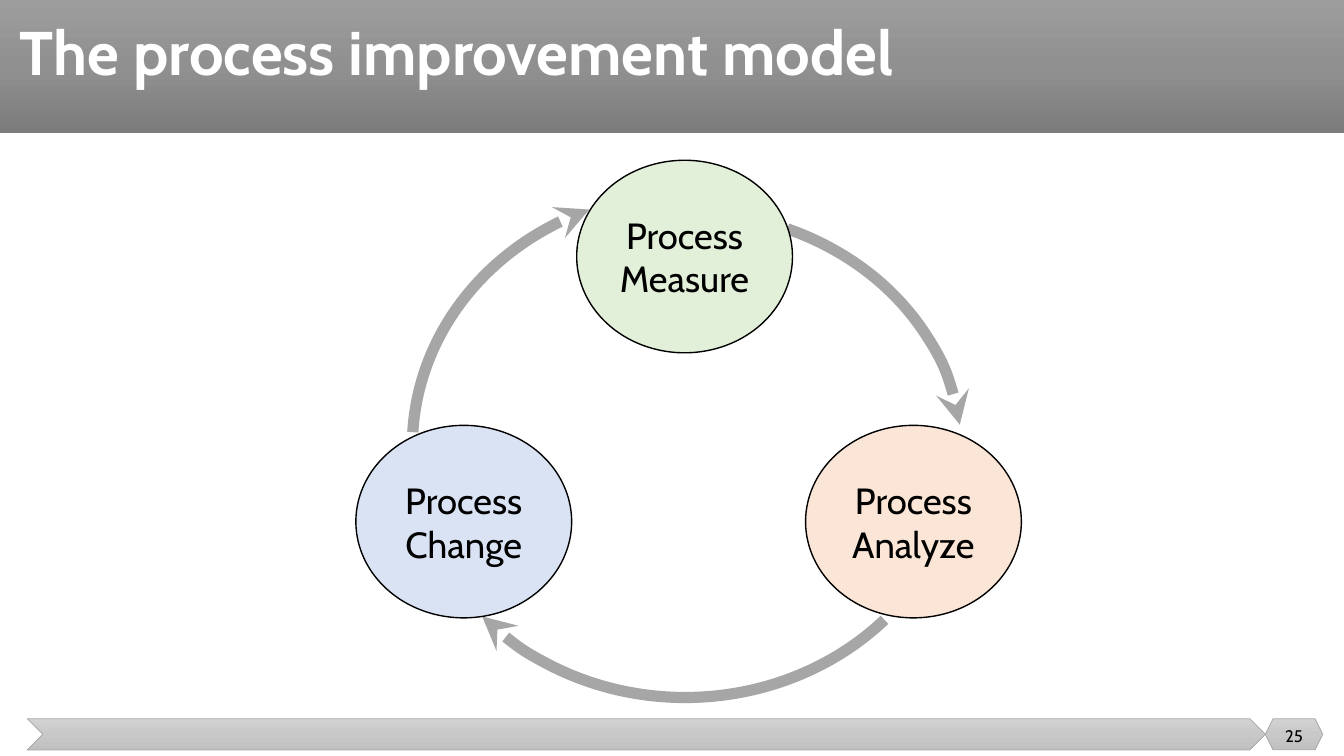
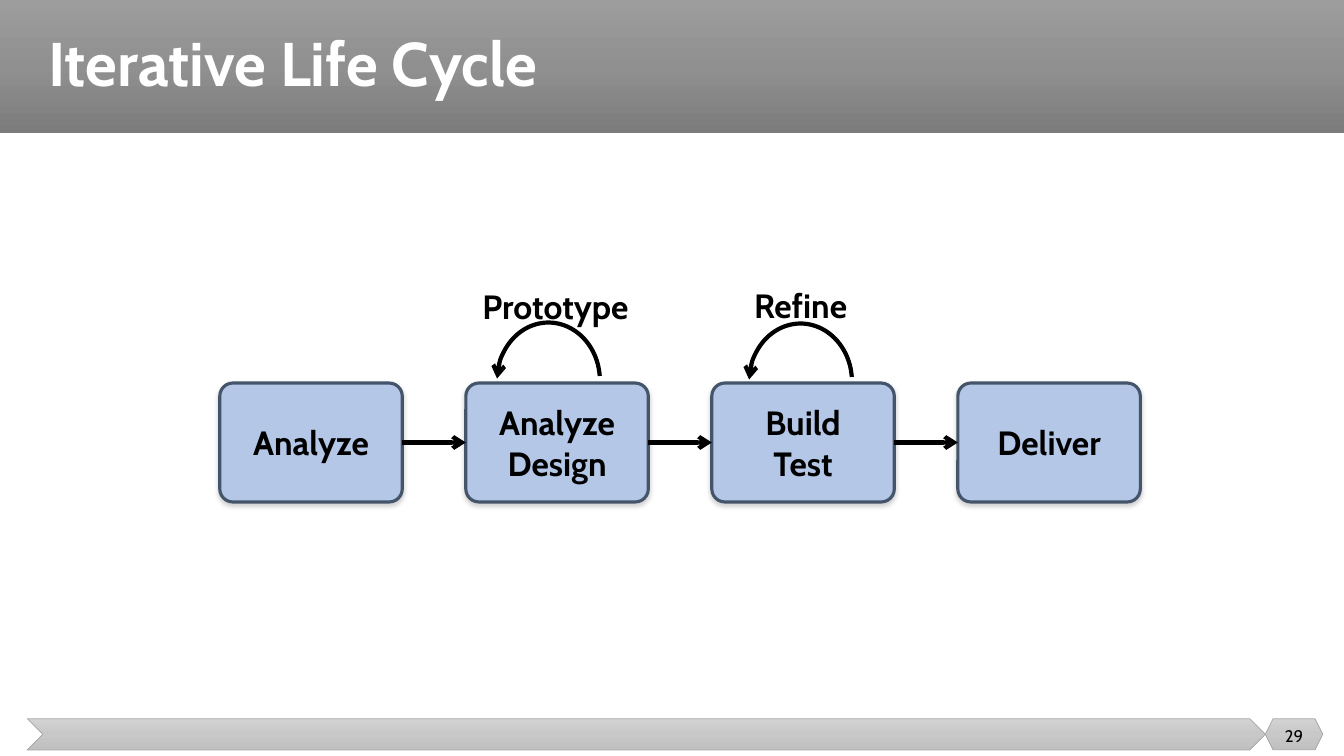
from itertools import pairwise

from lxml.etree import SubElement
from pptx import Presentation
from pptx.dml.color import RGBColor
from pptx.enum.shapes import MSO_CONNECTOR, MSO_SHAPE
from pptx.enum.text import MSO_ANCHOR, PP_ALIGN
from pptx.oxml.ns import qn
from pptx.util import Inches, Pt

FONT = "Cabin"
COLORS = {
    "black": "000000",
    "white": "FFFFFF",
    "footer_edge": "A5A5A5",
    "cycle": "A6A6A6",
    "measure": "E2F0D9",
    "change": "DAE3F3",
    "analyze": "FBE5D6",
    "stage": "B4C7E7",
    "stage_edge": "44546A",
    "shadow": "808080",
}
HEADER_SHADES = ("9D9D9D", "909090", "7C7C7C")
FOOTER_SHADES = ("D2D2D2", "C8C8C8", "C0C0C0")


def rgb(name):
    """Return the palette colour with this name."""
    return RGBColor.from_string(COLORS[name])


class Deck:
    """Hold the shared style, the presentation and the current slide."""

    def __init__(self):
        """Start an empty widescreen presentation."""
        self.prs = Presentation()
        self.prs.slide_width = Inches(13.33)
        self.prs.slide_height = Inches(7.5)
        self.slide = None

    def new_slide(self, title, number, title_box):
        """Add a slide with its bands, title and page number."""
        self.slide = self.prs.slides.add_slide(self.prs.slide_layouts[6])
        self.band(MSO_SHAPE.RECTANGLE, (0, 0, 13.33, 1.32), HEADER_SHADES)
        self.band(MSO_SHAPE.CHEVRON, (0.27, 7.13, 12.28, 0.31), FOOTER_SHADES, "footer_edge")
        self.band(MSO_SHAPE.HEXAGON, (12.55, 7.13, 0.57, 0.31), FOOTER_SHADES, "footer_edge")
        heading = self.text(title, title_box, 44, "white", True, PP_ALIGN.LEFT)
        heading.text_frame.paragraphs[0].line_spacing = 0.9
        self.text(number, (12.55, 7.1, 0.57, 0.4), 12)

    def shape(self, kind, box, edge=None, width=1):
        """Add a shadowless preset shape with an optional outline."""
        shape = self.slide.shapes.add_shape(kind, *map(Inches, box))
        shape.shadow.inherit = False
        if edge:
            shape.line.color.rgb = rgb(edge)
            shape.line.width = Pt(width)
        else:
            shape.line.fill.background()
        return shape

    def band(self, kind, box, shades, edge=None):
        """Add a shape shaded from top to bottom."""
        band = self.shape(kind, box, edge, 0.5)
        gradient = band._element.spPr.makeelement(qn("a:gradFill"), rotWithShape="1")
        stops = SubElement(gradient, qn("a:gsLst"))
        for index, shade in enumerate(shades):
            stop = SubElement(stops, qn("a:gs"), pos=str(index * 50000))
            SubElement(stop, qn("a:srgbClr"), val=shade)
        SubElement(gradient, qn("a:lin"), ang="5400000", scaled="0")
        band._element.spPr.find(qn("a:prstGeom")).addnext(gradient)

    def set_text(self, frame, text, size, color="black", bold=False, align=PP_ALIGN.CENTER):
        """Fill a text frame, one paragraph for each line."""
        frame.text = text
        frame.vertical_anchor = MSO_ANCHOR.MIDDLE
        for paragraph in frame.paragraphs:
            paragraph.alignment = align
            paragraph.font.name = FONT
            paragraph.font.size = Pt(size)
            paragraph.font.bold = bold
            paragraph.font.color.rgb = rgb(color)

    def text(self, text, box, size, color="black", bold=False, align=PP_ALIGN.CENTER, wrap=True):
        """Add a text box."""
        label = self.slide.shapes.add_textbox(*map(Inches, box))
        label.text_frame.word_wrap = wrap
        self.set_text(label.text_frame, text, size, color, bold, align)
        return label

    def node(self, kind, text, box, fill, edge, width, size, bold=False):
        """Add a filled shape with centred text."""
        node = self.shape(kind, box, edge, width)
        node.fill.solid()
        node.fill.fore_color.rgb = rgb(fill)
        frame = node.text_frame
        frame.margin_left = frame.margin_right = frame.margin_top = frame.margin_bottom = 0
        self.set_text(frame, text, size, bold=bold)
        return node

    def stage(self, text, box):
        """Add a rounded life cycle stage with a soft shadow."""
        stage = self.node(MSO_SHAPE.ROUNDED_RECTANGLE, text, box, "stage", "stage_edge", 2.25, 24, True)
        stage.adjustments[0] = 0.11
        effects = stage._element.spPr.find(qn("a:effectLst"))
        shadow = SubElement(effects, qn("a:outerShdw"), blurRad=str(Pt(3.1)), dist=str(Pt(1.8)),
                            dir="5400000", rotWithShape="0")
        shade = SubElement(shadow, qn("a:srgbClr"), val=COLORS["shadow"])
        SubElement(shade, qn("a:alpha"), val="35000")
        return stage

    def arrowhead(self, line, end, style):
        """Put an arrowhead on one end of a line."""
        SubElement(line._element.spPr.find(qn("a:ln")), qn(f"a:{end}"), type=style)

    def arc(self, box, degrees, color, width, end, style):
        """Add a curved arrow between two angles, clockwise from the right."""
        arc = self.shape(MSO_SHAPE.ARC, box, color, width)
        arc.fill.background()
        for index, angle in enumerate(degrees):
            arc.adjustments[index] = angle * 0.6
        self.arrowhead(arc, end, style)

    def arrow(self, source, target):
        """Join the right side of one stage to the left side of the next."""
        arrow = self.slide.shapes.add_connector(MSO_CONNECTOR.STRAIGHT, 0, 0, 0, 0)
        arrow.begin_connect(source, 3)
        arrow.end_connect(target, 1)
        arrow.line.color.rgb = rgb("black")
        arrow.line.width = Pt(3)
        SubElement(arrow._element.spPr, qn("a:effectLst"))
        self.arrowhead(arrow, "tailEnd", "arrow")


def improvement_model(deck):
    """Build the three-step improvement cycle."""
    deck.new_slide("The process improvement model", "25", (0.1, 0.1, 9, 0.91))
    for box, degrees in (
        ((4.09, 1.91, 5.49, 5.03), (182.86, 247.11)),
        ((4.05, 1.89, 5.49, 5.03), (41.41, 139.63)),
        ((4.05, 2.1, 5.49, 4.82), (294.34, 353.78)),
    ):
        deck.arc(box, degrees, "cycle", 8, "tailEnd", "stealth")
    for step, left, top in (("Measure", 5.72, 1.59), ("Change", 3.53, 4.22), ("Analyze", 7.99, 4.22)):
        deck.node(MSO_SHAPE.OVAL, f"Process\n{step}", (left, top, 2.14, 1.91),
                  step.lower(), "black", 1, 26)


def iterative_life_cycle(deck):
    """Build the row of stages with two feedback loops."""
    deck.new_slide("Iterative Life Cycle", "29", (0.38, 0, 12.74, 1.32))
    names = ("Analyze", "Analyze\nDesign", "Build\nTest", "Deliver")
    stages = [deck.stage(name, (2.18 + index * 2.44, 3.8, 1.81, 1.18))
              for index, name in enumerate(names)]
    for source, target in pairwise(stages):
        deck.arrow(source, target)
    for name, loop_left, loop_top, label_box in (
        ("Prototype", 4.93, 3.2, (4.68, 2.79, 1.66, 0.5)),
        ("Refine", 7.43, 3.21, (7.37, 2.78, 1.14, 0.5)),
    ):
        deck.arc((loop_left, loop_top, 1.02, 1.15), (182.21, 354.97), "black", 3, "headEnd", "arrow")
        deck.text(name, label_box, 24, bold=True, wrap=False)


def main():
    """Build and save the presentation."""
    deck = Deck()
    improvement_model(deck)
    iterative_life_cycle(deck)
    deck.prs.save("out.pptx")


if __name__ == "__main__":
    main()
